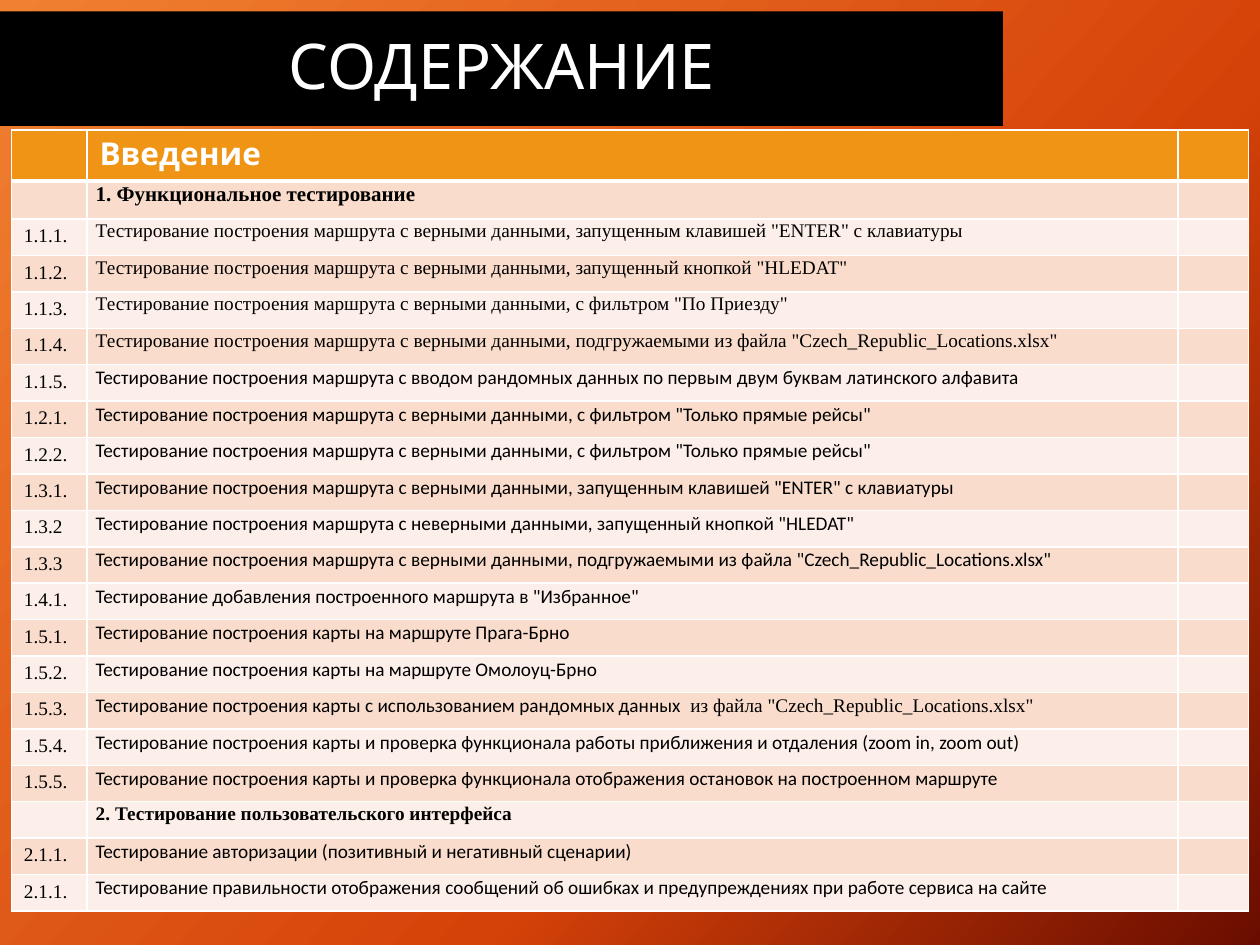
from dataclasses import dataclass

from lxml import etree
from pptx import Presentation
from pptx import oxml as ox
from pptx import util as u
from pptx.dml.color import RGBColor
from pptx.enum import text as t
from pptx.oxml import ns

Inches = u.Inches


@dataclass(frozen=True)
class Theme:
    """Colours, fonts and type sizes."""
    white: str = "FFFFFF"
    black: str = "000000"
    head: str = "F09415"
    bands: tuple = ("F9DCCC", "FCEEE8")
    glow: tuple = ((0, "F18031"), (63, "D54209"), (100, "6A0D00"))
    show: str = "Karla"
    serif: str = "Times New Roman"
    sans: str = "Calibri"
    title: int = 36
    lead: int = 18
    group: int = 12
    body: int = 11


TH = Theme()
FILE = 'из файла "Czech_Republic_Locations.xlsx"'
ROUTE = "Тестирование построения маршрута с "
TRUE = ROUTE + "верными данными, "
MAP = "Тестирование построения карты "
CHECK = MAP + "и проверка функционала "
DIRECT = TRUE + 'с фильтром "Только прямые рейсы"'
ENTER = TRUE + 'запущенным клавишей "ENTER" с клавиатуры'
LOADED = TRUE + "подгружаемыми " + FILE

SERIF = [
    ("1.1.1.", ENTER),
    ("1.1.2.", TRUE + 'запущенный кнопкой "HLEDAT"'),
    ("1.1.3.", TRUE + 'с фильтром "По Приезду"'),
    ("1.1.4.", LOADED),
]
SANS = [
    ("1.1.5.", ROUTE + "вводом рандомных данных по первым двум буквам латинского алфавита"),
    ("1.2.1.", DIRECT),
    ("1.2.2.", DIRECT),
    ("1.3.1.", ENTER),
    ("1.3.2", ROUTE + 'неверными данными, запущенный кнопкой "HLEDAT"'),
    ("1.3.3", LOADED),
    ("1.4.1.", 'Тестирование добавления построенного маршрута в "Избранное"'),
    ("1.5.1.", MAP + "на маршруте Прага-Брно"),
    ("1.5.2.", MAP + "на маршруте Омолоуц-Брно"),
    ("1.5.3.", MAP + "с использованием рандомных данных  ", FILE),
    ("1.5.4.", CHECK + "работы приближения и отдаления (zoom in, zoom out)"),
    ("1.5.5.", CHECK + "отображения остановок на построенном маршруте"),
]
FACE = [
    ("2.1.1.", "Тестирование авторизации (позитивный и негативный сценарии)"),
    ("2.1.1.", "Тестирование правильности отображения сообщений об ошибках и "
               "предупреждениях при работе сервиса на сайте"),
]


def rgb(code):
    """Turn a hex code into a colour."""
    return RGBColor.from_string(code)


def write(frame, words, size=TH.body, font=TH.serif, color=TH.black, bold=False,
          align=None, line=None, after=None):
    """Add a run to the first paragraph, or size it when there are no words."""
    para = frame.paragraphs[0]
    if not words:
        end = etree.SubElement(para._p, ns.qn("a:endParaRPr"))
        end.set("sz", str(size * 100))
        return
    if align is not None:
        para.alignment = align
    if line:
        para.line_spacing = line
    if after:
        para.space_after = u.Pt(after)
    run = para.add_run()
    run.text = words
    run.font.size = u.Pt(size)
    run.font.name = font
    run.font.bold = bold
    run.font.color.rgb = rgb(color)


def dress(cell, fill, base=1):
    """Give a cell white borders and a plain fill."""
    props = cell._tc.get_or_add_tcPr()
    for side, width in zip("LRTB", (1, 1, 1, base)):
        edge = etree.SubElement(props, ns.qn("a:ln" + side), w=str(u.Pt(width)))
        solid = etree.SubElement(edge, ns.qn("a:solidFill"))
        etree.SubElement(solid, ns.qn("a:srgbClr"), val=TH.white)
    cell.fill.solid()
    cell.fill.fore_color.rgb = rgb(fill)


def backdrop(slide):
    """Fill the background with the three-colour gradient."""
    stops = "".join(f'<a:gs pos="{at * 1000}"><a:srgbClr val="{code}"/></a:gs>'
                    for at, code in TH.glow)
    grad = ox.parse_xml(f'<a:gradFill {ns.nsdecls("a")} rotWithShape="1"><a:gsLst>{stops}'
                        f'</a:gsLst><a:lin ang="{42 * 60000}" scaled="0"/></a:gradFill>')
    slide.background.fill.solid()
    props = slide._element.cSld.bg.bgPr
    props.replace(props[0], grad)


def banner(slide, left, top, width, height):
    """Place the title in its black band."""
    head = slide.shapes.title
    head.left, head.top, head.width, head.height = left, top, width, height
    head.fill.solid()
    head.fill.fore_color.rgb = rgb(TH.black)
    frame = head.text_frame
    frame.vertical_anchor = t.MSO_ANCHOR.MIDDLE
    frame.auto_size = t.MSO_AUTO_SIZE.NONE
    write(frame, "СОДЕРЖАНИЕ", size=TH.title, font=TH.show, color=TH.white,
          align=t.PP_ALIGN.CENTER, line=0.9)


def entry(grid, row, code, pieces, size=TH.body, **form):
    """Fill one banded row with its number and name."""
    cells = [grid.cell(row, col) for col in range(3)]
    for cell in cells:
        dress(cell, TH.bands[(row + 1) % 2])
    write(cells[0].text_frame, code, size=size)
    write(cells[2].text_frame, "", size=size)
    name = cells[1]
    name.margin_left = name.margin_right = Inches(0.07)
    name.margin_top = name.margin_bottom = 0
    for words, font in pieces:
        write(name.text_frame, words, size=size, font=font, line=1.07, after=8, **form)


def contents(slide, left, top, width, height):
    """Place the table of contents."""
    items = ([("", "1. Функциональное тестирование")] + SERIF + SANS
             + [("", "2. Тестирование пользовательского интерфейса")] + FACE)
    grid = slide.shapes.add_table(len(items) + 1, 3, left, top, width, height).table
    sides = Inches(0.6), Inches(0.56)
    for col, wide in zip(grid.columns, (sides[0], width - sum(sides), sides[1])):
        col.width = wide
    first, second = Inches(0.39), Inches(0.29)
    rest = (height - first - second) // (len(items) - 1)
    for num, row in enumerate(grid.rows):
        row.height = (first, second)[num] if num < 2 else rest
    for col, words in enumerate(("", "Введение", "")):
        cell = grid.cell(0, col)
        dress(cell, TH.head, base=3)
        write(cell.text_frame, words, size=TH.lead, font=TH.show, color=TH.white, bold=True)
    for row, (code, *pieces) in enumerate(items, 1):
        if not code:
            size = TH.group if row == 1 else TH.body
            entry(grid, row, code, [(pieces[0], TH.serif)], size=size, bold=True)
            continue
        font = TH.serif if row <= len(SERIF) + 1 else TH.sans
        entry(grid, row, code, zip(pieces, (font, TH.serif)), align=t.PP_ALIGN.JUSTIFY)


def main():
    """Build and save the slide."""
    deck = Presentation()
    deck.slide_width, deck.slide_height = Inches(10), Inches(7.5)
    slide = deck.slides.add_slide(deck.slide_layouts[5])
    backdrop(slide)
    contents(slide, Inches(0.09), Inches(1.03), Inches(9.82), Inches(5.98))
    banner(slide, Inches(0), Inches(0.09), Inches(7.96), Inches(0.91))
    deck.save("out.pptx")


if __name__ == "__main__":
    main()
